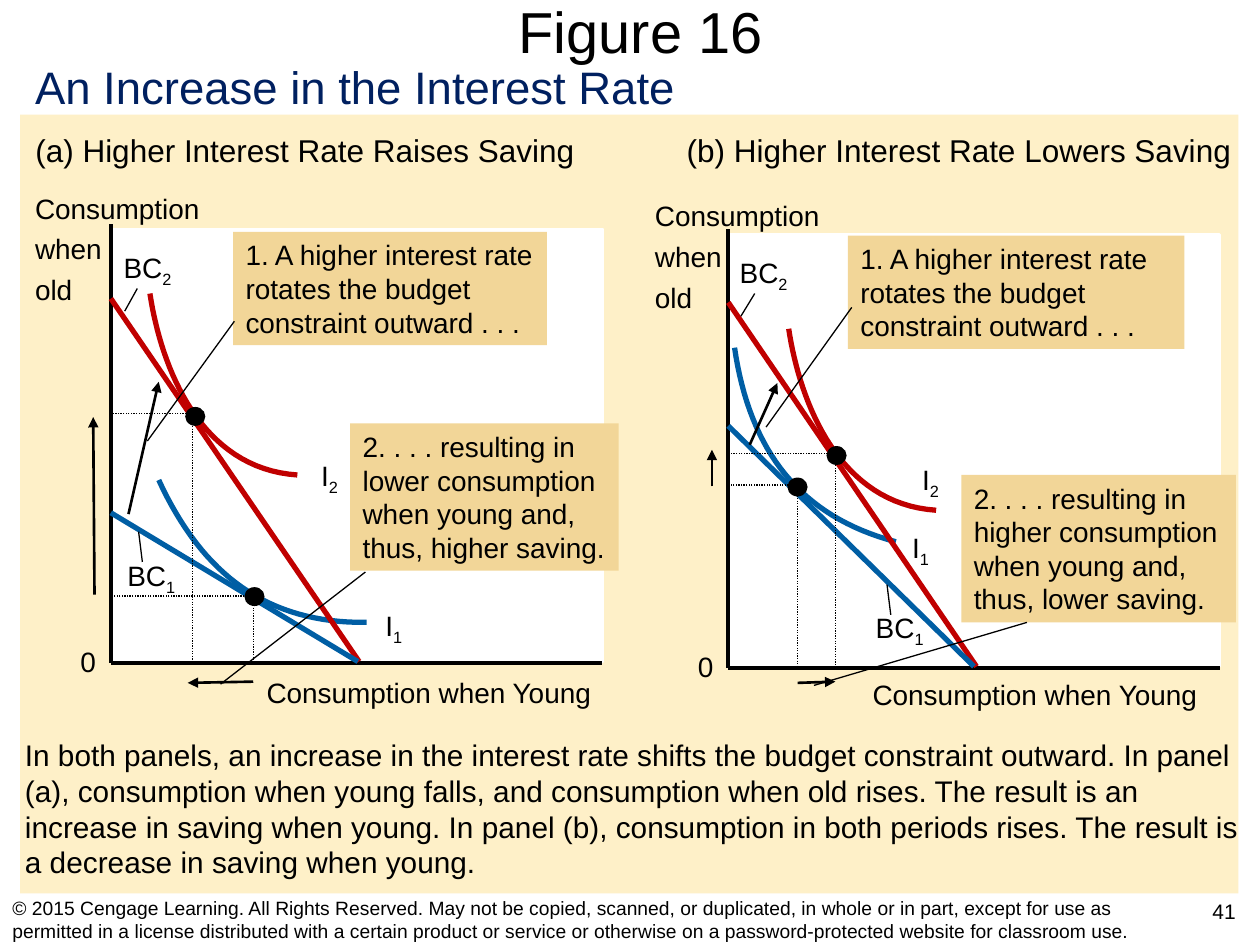
from lxml import etree
from pptx import Presentation
from pptx.dml.color import RGBColor
from pptx.enum.dml import MSO_LINE
from pptx.enum.shapes import MSO_CONNECTOR, MSO_SHAPE
from pptx.enum.text import MSO_ANCHOR, MSO_AUTO_SIZE, PP_ALIGN
from pptx.oxml.ns import qn
from pptx.util import Inches, Pt

LEFT, CENTER, RIGHT = PP_ALIGN.LEFT, PP_ALIGN.CENTER, PP_ALIGN.RIGHT
TOP, MIDDLE = MSO_ANCHOR.TOP, MSO_ANCHOR.MIDDLE
RECT, OVAL = MSO_SHAPE.RECTANGLE, MSO_SHAPE.OVAL
STRAIGHT = MSO_CONNECTOR.STRAIGHT
DOTTED = MSO_LINE.ROUND_DOT
GROW, FIXED = MSO_AUTO_SIZE.SHAPE_TO_FIT_TEXT, MSO_AUTO_SIZE.NONE

COLORS = {name: RGBColor.from_string(value) for name, value in {
    "black": "000000", "white": "FFFFFF", "navy": "002060", "red": "C00000",
    "blue": "005EA4", "cream": "FEF0C8", "callout": "F2D698"}.items()}

deck = Presentation()
deck.slide_width, deck.slide_height = Inches(10), Inches(7.5)
page = deck.slides.add_slide(deck.slide_layouts[6])
shapes = page.shapes


def add_text(at, text, size=16, align=LEFT, wrap=False, color="black",
             anchor=TOP, fill=None, auto_size=GROW):
    place = [Inches(v) for v in at]
    if fill:
        box = shapes.add_shape(RECT, *place)
        box.shadow.inherit = False
        box.fill.solid()
        box.fill.fore_color.rgb = COLORS[fill]
        box.line.fill.background()
    else:
        box = shapes.add_textbox(*place)
    frame = box.text_frame
    frame_format = {"word_wrap": wrap, "auto_size": auto_size, "vertical_anchor": anchor}
    for name, value in frame_format.items():
        setattr(frame, name, value)
    for index, line_text in enumerate(text.split("\n")):
        para = frame.paragraphs[0] if index == 0 else frame.add_paragraph()
        para.alignment = align
        if index:
            para.space_before = Pt(4)
        for part, words in enumerate(line_text.split("_")):
            span = para.add_run()
            span.text = words
            font_format = {"name": "Arial", "size": Pt(size)}
            for name, value in font_format.items():
                setattr(span.font, name, value)
            span.font.color.rgb = COLORS[color]
            if part:
                span.font._element.set("baseline", "-25000")
    return frame


def add_line(ends, width=0.75, color="black", dash=None, arrow=False):
    line = shapes.add_connector(STRAIGHT, *[Inches(v) for v in ends])
    line.line.color.rgb = COLORS[color]
    line.line.width = Pt(width)
    if dash:
        line.line.dash_style = dash
    properties = line._element.spPr
    if arrow:
        etree.SubElement(properties.find(qn("a:ln")), qn("a:tailEnd"), type="triangle")
    etree.SubElement(properties, qn("a:effectLst"))


background = shapes.add_shape(RECT, Inches(0.16), Inches(0.91), Inches(9.67), Inches(6.18))
background.shadow.inherit = False
background.fill.solid()
background.fill.fore_color.rgb = COLORS["cream"]
background.line.fill.background()

title = add_text((0.35, 0, 9.47, 0.49), "Figure 16", 33, CENTER, True, anchor=MIDDLE, auto_size=FIXED)
for side in ("left", "top", "right", "bottom"):
    setattr(title, "margin_" + side, 0)
add_text((9.43, 7.08, 0.57, 0.41), "41", 12, CENTER, True, auto_size=FIXED)
add_text((0, 7.1, 9.42, 0.4),
         "© 2015 Cengage Learning. All Rights Reserved. May not be copied, scanned, or "
         "duplicated, in whole or in part, except for use as permitted in a license "
         "distributed with a certain product or service or otherwise on a "
         "password-protected website for classroom use.",
         11, wrap=True, anchor=MIDDLE, auto_size=FIXED)
add_text((0.18, 0.42, 5.5, 0.54), "An Increase in the Interest Rate", 26, wrap=True, color="navy")
add_text((0.1, 5.8, 9.84, 1.24),
         "In both panels, an increase in the interest rate shifts the budget constraint "
         "outward. In panel (a), consumption when young falls, and consumption when old "
         "rises. The result is an increase in saving when young. In panel (b), consumption "
         "in both periods rises. The result is a decrease in saving when young.",
         17, wrap=True)

RATE_NOTE = "1. A higher interest rate rotates the budget constraint outward . . ."
panels = [
    {
        "axis": (0.88, 1.78, 5.26),
        "heading": ((0.18, 0.99, 4.48, 0.4), "(a) Higher Interest Rate Raises Saving"),
        "old": (0.18, 1.47), "young": (1.99, 5.31),
        "labels": {"I_2": (2.45, 3.59), "I_1": (2.96, 4.78),
                   "BC_2": (0.88, 1.94), "BC_1": (0.91, 4.38)},
        "curves": {"red": [(1.19, 2.33), (1.28, 2.92), (1.59, 3.72), (2.36, 3.77)],
                   "blue": [(1.26, 3.81), (1.61, 4.57), (2.13, 4.95), (2.91, 4.94)]},
        "budgets": {"red": (0.88, 2.37, 2.85, 5.25), "blue": (0.88, 4.07, 2.84, 5.25)},
        "dots": [(2.02, 4.73), (1.55, 3.3)],
        "guides": [(2.01, 4.72, 2.01, 5.26), (1.53, 3.28, 1.53, 5.26),
                   (1.56, 3.28, 0.87, 3.28), (2, 4.73, 0.86, 4.73)],
        "callouts": [((1.85, 1.84, 2.49, 0.9), RATE_NOTE),
                     ((2.78, 3.36, 2.13, 1.17), "2. . . . resulting in lower consumption "
                      "when young and, thus, higher saving.")],
        "leaders": [(0.99, 2.47, 1.09, 2.29), (1.13, 4.46, 1.1, 4.22),
                    (1.17, 3.5, 1.86, 2.55), (1.75, 5.43, 2.9, 4.54)],
        "arrows": [(1.02, 4.08, 1.26, 3.03), (0.75, 4.72, 0.74, 3.31),
                   (2.01, 5.41, 1.49, 5.42)],
    },
    {
        "axis": (5.78, 1.82, 5.3),
        "heading": ((5.35, 0.99, 4.52, 0.4), "(b) Higher Interest Rate Lowers Saving"),
        "old": (5.1, 1.53), "young": (6.8, 5.33),
        "labels": {"I_2": (7.22, 3.62), "I_1": (7.14, 4.16),
                   "BC_2": (5.77, 1.98), "BC_1": (6.85, 4.8)},
        "curves": {"red": [(6.26, 2.61), (6.35, 3.2), (6.66, 4), (7.43, 4.05)],
                   "blue": [(5.83, 2.76), (5.95, 3.58), (6.35, 4.1), (7.11, 4.3)]},
        "budgets": {"red": (5.78, 2.4, 7.75, 5.29), "blue": (5.78, 3.38, 7.73, 5.29)},
        "dots": [(6.33, 3.86), (6.64, 3.61)],
        "guides": [(6.33, 3.85, 6.33, 5.29), (6.63, 3.59, 6.63, 5.28),
                   (6.32, 3.85, 5.78, 3.85), (6.65, 3.6, 5.75, 3.6)],
        "callouts": [((6.73, 1.87, 2.67, 0.9), RATE_NOTE),
                     ((7.63, 3.77, 2.18, 1.17), "2. . . . resulting in higher consumption "
                      "when young and, thus, lower saving.")],
        "leaders": [(5.88, 2.51, 5.99, 2.33), (7.07, 4.88, 7.04, 4.64),
                    (6.08, 3.39, 6.76, 2.44), (6.46, 5.44, 8.15, 4.94)],
        "arrows": [(5.95, 3.53, 6.17, 3.04), (5.65, 3.86, 5.65, 3.57),
                   (6.33, 5.42, 6.63, 5.41)],
    },
]

STEPS = 32
for panel in panels:
    x, top, bottom = panel["axis"]
    plot = shapes.add_shape(RECT, Inches(x + 0.02), Inches(top + 0.04), Inches(3.88), Inches(3.43))
    plot.shadow.inherit = False
    plot.fill.solid()
    plot.fill.fore_color.rgb = COLORS["white"]
    plot.line.color.rgb = COLORS["white"]
    plot.line.width = Pt(2)
    add_line((x, top, x, bottom), 2.25)
    add_line((x, bottom, x + 3.9, bottom), 2.25)

    heading_place, heading = panel["heading"]
    add_text(heading_place, heading, 18, CENTER)
    add_text((*panel["old"], 1.7, 1.01), "Consumption\nwhen\nold", wrap=True)
    add_text((*panel["young"], 2.8, 0.37), "Consumption when Young", align=RIGHT)
    add_text((x - 0.34, bottom - 0.19, 0.32, 0.37), "0", align=CENTER)
    for label, place in panel["labels"].items():
        add_text((*place, 0.58 if label.startswith("BC") else 0.33, 0.41), label, align=CENTER)

    for color, (start, pull, push, end) in panel["curves"].items():
        points = []
        for step in range(STEPS + 1):
            t = step / STEPS
            weights = ((1 - t) ** 3, 3 * t * (1 - t) ** 2, 3 * t ** 2 * (1 - t), t ** 3)
            points.append([Inches(sum(w * p[i] for w, p in zip(weights, (start, pull, push, end))))
                           for i in (0, 1)])
        builder = shapes.build_freeform(*points[0])
        builder.add_line_segments(points[1:], close=False)
        curve = builder.convert_to_shape()
        curve.shadow.inherit = False
        curve.fill.background()
        curve.line.color.rgb = COLORS[color]
        curve.line.width = Pt(3)

    for color, ends in panel["budgets"].items():
        add_line(ends, 3, color)
    for ends in panel["guides"]:
        add_line(ends, dash=DOTTED)
    for dot_x, dot_y in panel["dots"]:
        dot = shapes.add_shape(OVAL, Inches(dot_x - 0.08), Inches(dot_y - 0.07), Inches(0.16), Inches(0.15))
        dot.shadow.inherit = False
        dot.fill.solid()
        dot.fill.fore_color.rgb = COLORS["black"]
        dot.line.fill.background()
    for place, note in panel["callouts"]:
        add_text(place, note, wrap=True, fill="callout")
    for ends in panel["leaders"]:
        add_line(ends)
    for ends in panel["arrows"]:
        add_line(ends, 1.5, arrow=True)

deck.save("out.pptx")
